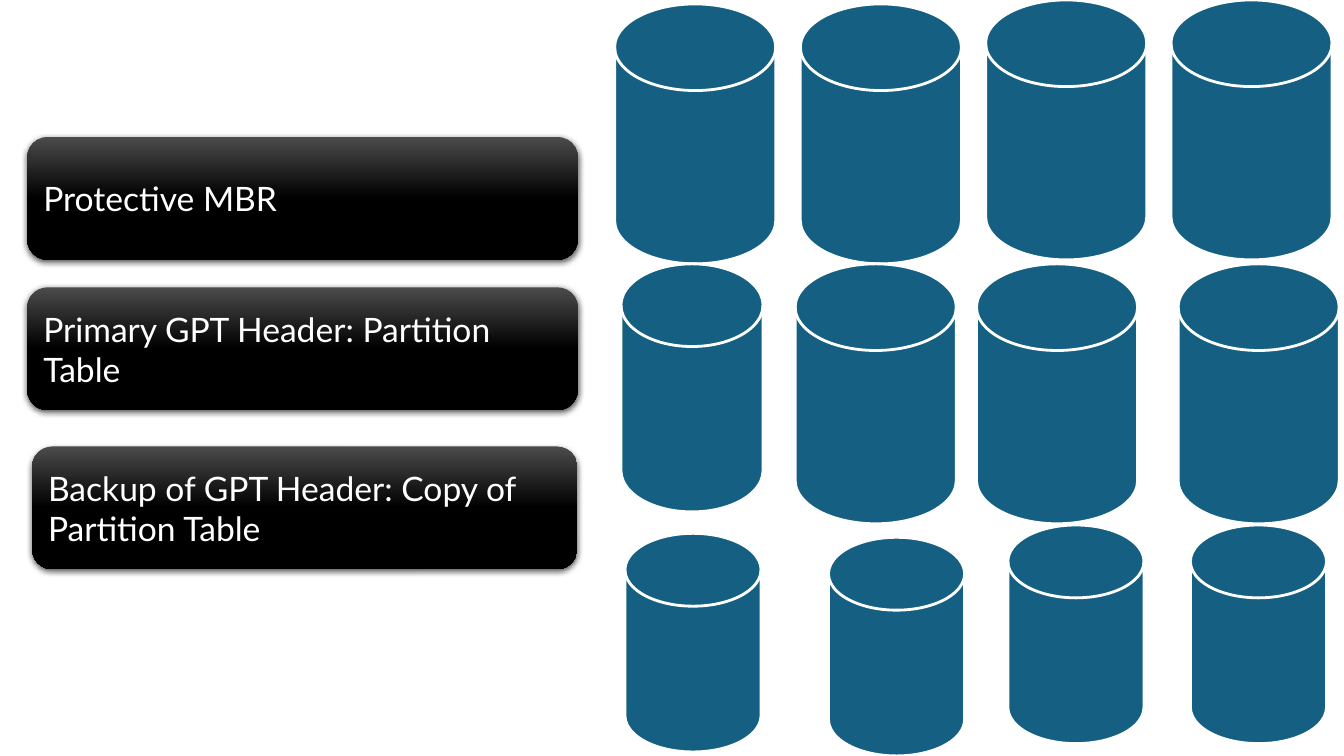
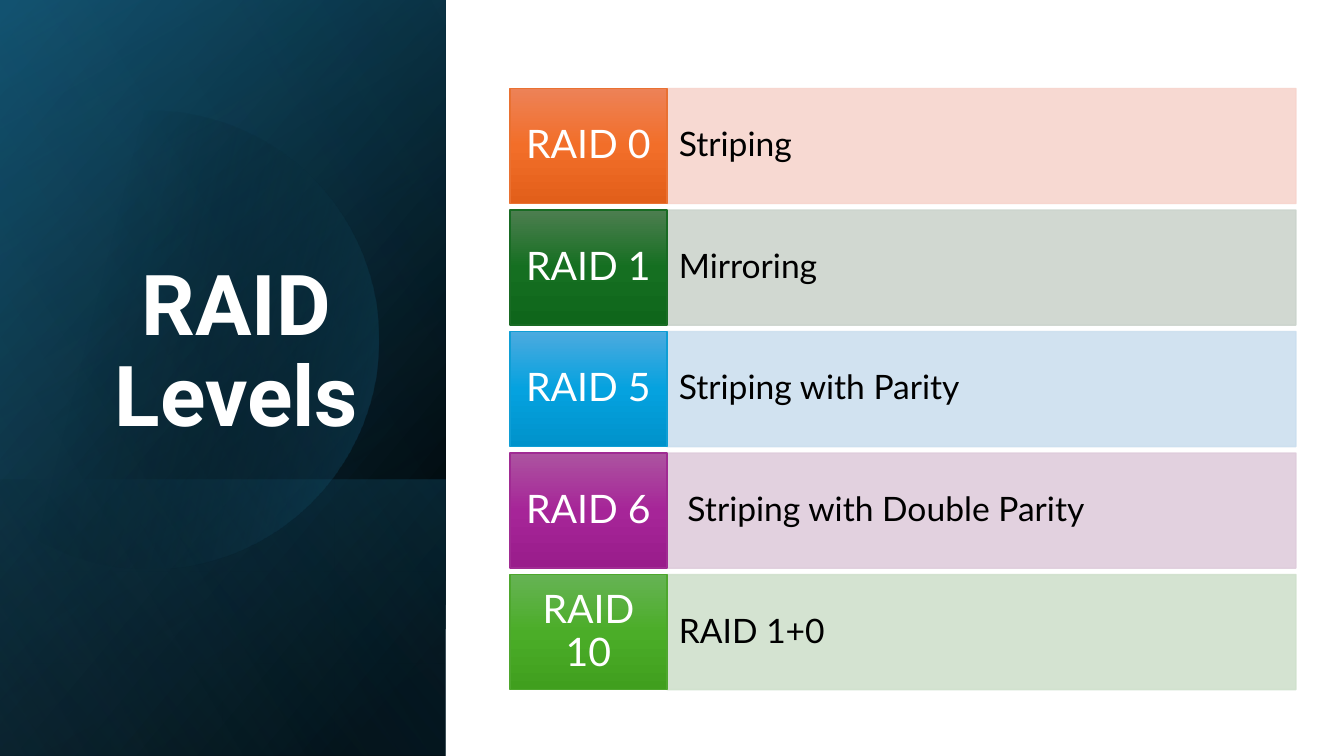
import math

from lxml import etree
from pptx import Presentation
from pptx.dml import color as dml
from pptx.enum import shapes, text
from pptx.oxml import ns
from pptx.util import Cm, Pt

# Shared look
COLORS = {
    "white": "FFFFFF", "black": "000000", "graphite": "4B4B4B",
    "teal": "156082", "deep_teal": "104862", "sky": "46B1E1",
}
BODY_FONT, TITLE_FONT = "Lato", "Roboto"
WIDTH, HEIGHT = 33.87, 19.05

# Disks: (width, height) of each row and (left, top) of its members
DISK_ROWS = [
    ((4.06, 6.55), [(15.49, 0.1), (20.17, 0.1), (24.84, 0), (29.51, 0)]),
    ((3.58, 6.25), [(15.65, 6.65)]),
    ((4.06, 6.55), [(20.04, 6.65), (24.61, 6.65), (29.69, 6.65)]),
    ((3.43, 5.51), [(15.75, 13.44), (20.88, 13.54), (25.4, 13.23), (30, 13.23)]),
]
GPT_PARTS = [
    ("Protective MBR", (0.69, 3.45, 13.87, 3.1)),
    ("Primary GPT Header: Partition Table", (0.69, 7.24, 13.87, 3.1)),
    ("Backup of GPT Header: Copy of Partition Table", (0.81, 11.25, 13.74, 3.1)),
]

# Levels: name, meaning, pale colour, line colour, gradient colours
RAID_LEVELS = [
    ("RAID 0", "Striping", "F7D5CE", "E97132", ("ED8257", "F26E29", "E25F1A")),
    ("RAID 1", "Mirroring", "CCD4CD", "196B24", ("4D7E50", "156F21", "0F661B")),
    ("RAID 5", "Striping with Parity", "CCDFEF", "0F9ED5", ("4CAADF", "05A2DF", "0092CB")),
    ("RAID 6", " Striping with Double Parity", "DFCDDC", "A02B93", ("AC53A0", "A62598", "991C8B")),
    ("RAID 10", "RAID 1+0", "D0E1CD", "4EA72E", ("66B354", "4BAD28", "409F1E")),
]


def add_xml(parent, tag, **attributes):
    values = {key: str(value) for key, value in attributes.items()}
    return etree.SubElement(parent, ns.qn(tag), values)


def add_color(parent, color, opacity=100):
    element = add_xml(parent, "a:srgbClr", val=color)
    if opacity < 100:
        add_xml(element, "a:alpha", val=opacity * 1000)


def fill_solid(fill, color, opacity=100):
    fill.solid()
    fill.fore_color.rgb = dml.RGBColor.from_string(color)
    if opacity < 100:
        element = fill._xPr.find(".//" + ns.qn("a:srgbClr"))
        add_xml(element, "a:alpha", val=opacity * 1000)


def fill_gradient(shape, stops, angle):
    """Fill with (position, colour, opacity) stops; the angle runs clockwise."""
    shape.fill.gradient()
    shape.fill.gradient_angle = (360 - angle) % 360
    stop_list = shape._element.spPr.find(".//" + ns.qn("a:gsLst"))
    for old_stop in list(stop_list):
        stop_list.remove(old_stop)
    for position, color, opacity in stops:
        stop = add_xml(stop_list, "a:gs", pos=position * 1000)
        add_color(stop, color, opacity)


def set_line(shape, color=None, width=1, opacity=100):
    if color is None:
        shape.line.fill.background()
        return
    shape.line.width = Pt(width)
    fill_solid(shape.line.fill, color, opacity)


def add_box(slide, kind, box):
    shape = slide.shapes.add_shape(kind, *(Cm(length) for length in box))
    shape.shadow.inherit = False
    return shape


def set_text(shape, words, size=24, font=BODY_FONT, color=COLORS["white"], bold=False,
             align=text.PP_ALIGN.LEFT, anchor=text.MSO_ANCHOR.MIDDLE,
             spacing=None, insets=None):
    frame = shape.text_frame
    frame.word_wrap = True
    frame.auto_size = text.MSO_AUTO_SIZE.NONE
    frame.vertical_anchor = anchor
    if insets:
        frame.margin_left = frame.margin_right = Cm(insets[0])
        frame.margin_top = frame.margin_bottom = Cm(insets[1])
    frame.text = words
    paragraph = frame.paragraphs[0]
    paragraph.alignment = align
    paragraph.line_spacing = spacing
    run_font = paragraph.runs[0].font
    run_font.name, run_font.size, run_font.bold = font, Pt(size), bold
    run_font.color.rgb = dml.RGBColor.from_string(color)


# Partition slide
def add_disk(slide, box):
    disk = add_box(slide, shapes.MSO_SHAPE.FLOWCHART_MAGNETIC_DISK, box)
    fill_solid(disk.fill, COLORS["teal"])
    set_line(disk, COLORS["white"], 2)


def add_gpt_part(slide, words, box):
    card = add_box(slide, shapes.MSO_SHAPE.ROUNDED_RECTANGLE, box)
    fill_gradient(card, [(0, COLORS["graphite"], 100), (50, COLORS["black"], 100),
                         (100, COLORS["black"], 100)], 90)
    set_line(card)
    effects = card._element.spPr.find(ns.qn("a:effectLst"))
    shadow = add_xml(effects, "a:outerShdw", blurRad=Pt(4.5), dist=Pt(1.5),
                     dir=90 * 60000, algn="ctr", rotWithShape=0)
    add_color(shadow, COLORS["black"], 63)
    set_text(card, words)


def build_partition_slide(presentation):
    slide = presentation.slides.add_slide(presentation.slide_layouts[6])
    for size, corners in DISK_ROWS:
        for corner in corners:
            add_disk(slide, corner + size)
    for words, box in GPT_PARTS:
        add_gpt_part(slide, words, box)


# RAID slide
def add_circle_glow(slide, left, center_y, radius, center_x):
    """Draw a circle cut off at the left edge of the panel."""
    limit = math.acos(-center_x / radius)
    steps = 120
    angles = [limit * (2 * step / steps - 1) for step in range(steps + 1)]
    points = [(Cm(left + center_x + radius * math.cos(angle)),
               Cm(center_y + radius * math.sin(angle))) for angle in angles]
    builder = slide.shapes.build_freeform(*points[0])
    builder.add_line_segments(points[1:], close=True)
    glow = builder.convert_to_shape()
    glow.shadow.inherit = False
    fill_gradient(glow, [(29, COLORS["black"], 0), (100, COLORS["teal"], 43)], 14)
    set_line(glow)


def add_panel_layer(slide, box, stops, angle):
    layer = add_box(slide, shapes.MSO_SHAPE.RECTANGLE, box)
    fill_gradient(layer, stops, angle)
    set_line(layer)


def add_side_panel(slide, box):
    left, top, width, height = box
    foot = 6.96
    black, teal = COLORS["black"], COLORS["teal"]
    add_panel_layer(slide, box, [(8, black, 100), (100, COLORS["deep_teal"], 100)], 220)
    add_panel_layer(slide, box, [(0, black, 0), (99, teal, 46)], 240)
    add_panel_layer(slide, (left, top + height - foot, width, foot),
                    [(2, teal, 29), (100, black, 30)], 140)
    add_circle_glow(slide, left, top + 8.56, 5.77, 3.78)
    add_panel_layer(slide, box, [(0, black, 0), (99, COLORS["sky"], 11)], 150)


def add_title(slide, words, box):
    title = slide.shapes.title
    title.left, title.top, title.width, title.height = (Cm(length) for length in box)
    set_text(title, words, size=60, font=TITLE_FONT, bold=True, spacing=0.9,
             align=text.PP_ALIGN.CENTER, anchor=text.MSO_ANCHOR.BOTTOM)
    # Bring the title in front of the panel
    slide.shapes._spTree.append(title._element)


def add_level(slide, level, box):
    name, meaning, pale, edge, shades = level
    left, top, width, height = box
    name_width = 3.96
    bar = add_box(slide, shapes.MSO_SHAPE.RECTANGLE,
                  (left + name_width, top, width - name_width, height))
    fill_solid(bar.fill, pale, 90)
    set_line(bar, pale, opacity=90)
    set_text(bar, meaning, color=COLORS["black"], spacing=0.9, insets=(0.3, 0.74))
    tile = add_box(slide, shapes.MSO_SHAPE.RECTANGLE, (left, top, name_width, height))
    fill_gradient(tile, [(50 * i, shade, 100) for i, shade in enumerate(shades)], 90)
    set_line(tile, edge)
    set_text(tile, name, size=28, spacing=0.9, insets=(0.2, 0.28),
             align=text.PP_ALIGN.CENTER)


def add_level_list(slide, box):
    left, top, width, height = box
    row_height = 2.9
    pitch = (height - row_height) / (len(RAID_LEVELS) - 1)
    for row, level in enumerate(RAID_LEVELS):
        add_level(slide, level, (left, top + row * pitch, width, row_height))


def build_raid_slide(presentation):
    slide = presentation.slides.add_slide(presentation.slide_layouts[5])
    add_side_panel(slide, (0, 0, 11.23, HEIGHT))
    add_title(slide, "RAID Levels", (1.63, 4.67, 8.66, 6.65))
    add_level_list(slide, (12.85, 2.23, 19.81, 15.15))


def main():
    presentation = Presentation()
    presentation.slide_width, presentation.slide_height = Cm(WIDTH), Cm(HEIGHT)
    build_partition_slide(presentation)
    build_raid_slide(presentation)
    presentation.save("out.pptx")


if __name__ == "__main__":
    main()
